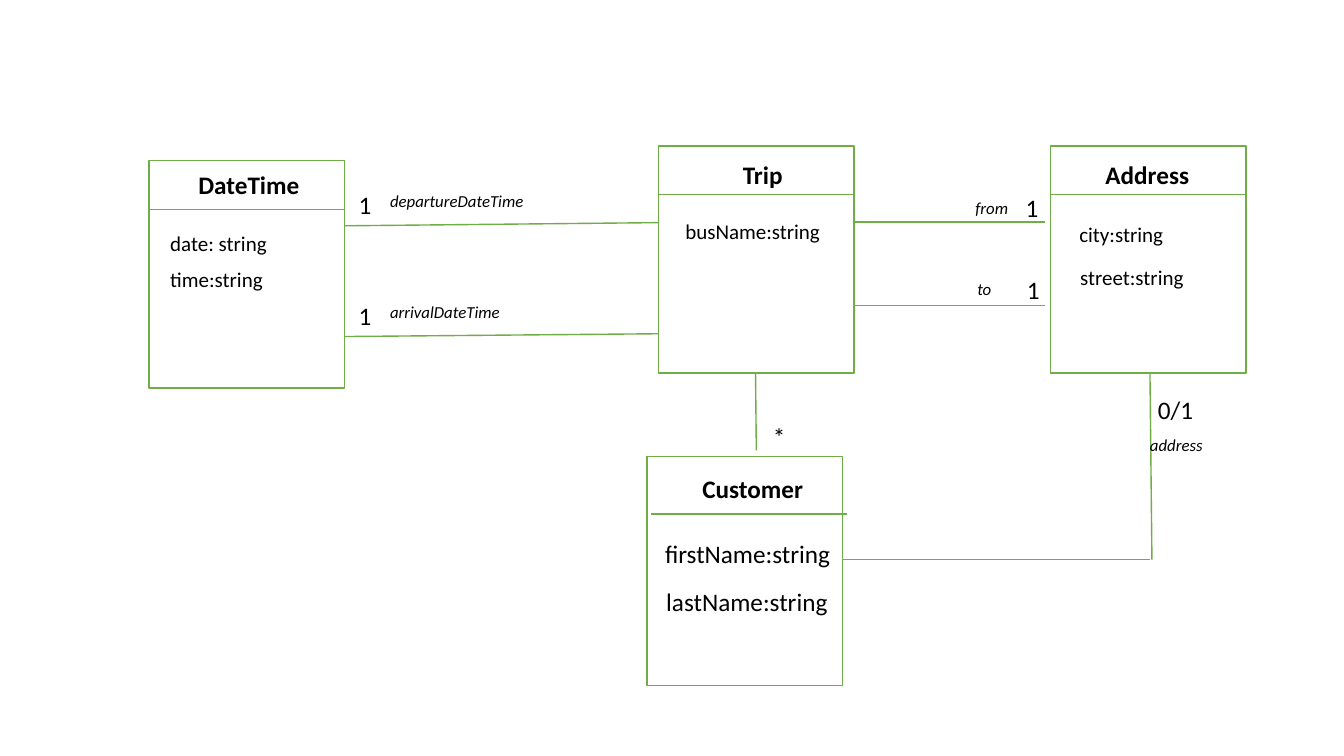
"""Build a class diagram slide of trips, customers, addresses and times."""
from dataclasses import dataclass

from lxml import etree
from pptx import Presentation, util as u
from pptx.dml.color import RGBColor
from pptx.enum import shapes, text
from pptx.oxml import ns

COLOURS = {"line": "70AD47", "fill": "FFFFFF", "text": "000000"}
FONT = "Calibri"
CLASS_WIDTH = 4.93


@dataclass
class Label:
    text: str
    x: float
    y: float
    width: float
    size: int = 18
    bold: bool = False
    italic: bool = False


@dataclass
class Link:
    x1: float
    y1: float
    x2: float
    y2: float


@dataclass
class ClassBox:
    x: float
    y: float
    height: float
    title: Label
    divider_y: float
    fields: list[Label]
    divider_shift: float = 0


CLASSES = [
    ClassBox(16.59, 3.68, 5.72, Label("Trip", 18.47, 3.89, 1.52, bold=True), 4.9,
             [Label("busName:string", 17.02, 5.38, 3.94, 15)]),
    ClassBox(16.31, 11.51, 5.77, Label("Customer", 17.45, 11.81, 3.07, bold=True), 12.95,
             [Label("firstName:string", 16.51, 13.44, 4.72),
              Label("lastName:string", 16.54, 14.66, 4.62)], 0.1),
    ClassBox(26.47, 3.68, 5.72, Label("Address", 27.61, 3.89, 2.64, bold=True), 4.9,
             [Label("city:string", 26.95, 5.46, 2.64, 15),
              Label("street:string", 26.97, 6.55, 3.15, 15)]),
    ClassBox(3.76, 4.04, 5.74, Label("DateTime", 4.75, 4.14, 3.07, bold=True), 5.28,
             [Label("date: string", 4.04, 5.69, 2.97, 15),
              Label("time:string", 4.04, 6.58, 2.87, 15)]),
]

LINKS = [
    Link(16.59, 5.61, 8.69, 5.69),
    Link(16.59, 8.41, 8.69, 8.48),
    Link(26.34, 5.59, 21.52, 5.59),
    Link(26.34, 7.7, 21.52, 7.7),
    Link(19.06, 11.35, 19.04, 9.4),
    Link(28.98, 14.1, 21.24, 14.1),
    Link(29.03, 14.1, 28.98, 9.4),
]

ROLES = [
    Label("departureDateTime", 9.58, 4.67, 3.91, 12, italic=True),
    Label("arrivalDateTime", 9.58, 7.47, 3.3, 12, italic=True),
    Label("from", 24.33, 4.85, 1.35, 12, italic=True),
    Label("to", 24.38, 6.91, 0.86, 12, italic=True),
    Label("address", 28.73, 10.82, 1.85, 12, italic=True),
]

MULTIPLICITIES = [
    Label("1", 8.79, 4.65, 0.84),
    Label("1", 8.79, 7.44, 0.84),
    Label("1", 25.6, 4.72, 0.84),
    Label("1", 25.63, 6.78, 0.84),
    Label("*", 19.23, 10.49, 0.84),
    Label("0/1", 28.93, 9.8, 1.42),
]


def rgb(name: str) -> RGBColor:
    """Return a named colour."""
    return RGBColor.from_string(COLOURS[name])


def write(tf, content: str, *, size: int, bold: bool, italic: bool) -> None:
    """Put formatted text in a text frame."""
    r = tf.paragraphs[0].add_run()
    r.text = content
    r.font.name = FONT
    r.font.size = u.Pt(size)
    r.font.bold = bold
    r.font.italic = italic
    r.font.color.rgb = rgb("text")


def draw_label(s, label: Label) -> None:
    """Draw one line of text."""
    height = u.Pt(1.22 * label.size) + u.Cm(0.25)
    sp = s.shapes.add_textbox(u.Cm(label.x), u.Cm(label.y), u.Cm(label.width), height)
    tf = sp.text_frame
    tf.word_wrap = False
    tf.auto_size = text.MSO_AUTO_SIZE.SHAPE_TO_FIT_TEXT
    write(tf, label.text, size=label.size, bold=label.bold, italic=label.italic)


def set_line(sp) -> None:
    """Give a shape or connector the diagram line."""
    sp.line.color.rgb = rgb("line")
    sp.line.width = u.Pt(1)


def draw_link(s, link: Link) -> None:
    """Draw a straight line without shadow."""
    ends = (u.Cm(v) for v in (link.x1, link.y1, link.x2, link.y2))
    sp = s.shapes.add_connector(shapes.MSO_CONNECTOR.STRAIGHT, *ends)
    set_line(sp)
    etree.SubElement(sp._element.spPr, ns.qn("a:effectLst"))


def draw_class(s, box: ClassBox) -> None:
    """Draw a class with its title, divider and fields."""
    sp = s.shapes.add_shape(shapes.MSO_SHAPE.RECTANGLE, u.Cm(box.x), u.Cm(box.y),
                            u.Cm(CLASS_WIDTH), u.Cm(box.height))
    sp.shadow.inherit = False
    sp.fill.solid()
    sp.fill.fore_color.rgb = rgb("fill")
    set_line(sp)
    left = box.x + box.divider_shift
    draw_link(s, Link(left + CLASS_WIDTH, box.divider_y, left, box.divider_y))
    for label in [box.title, *box.fields]:
        draw_label(s, label)


def main() -> None:
    """Build and save the slide."""
    prs = Presentation()
    prs.slide_width, prs.slide_height = u.Cm(33.87), u.Cm(19.05)
    s = prs.slides.add_slide(prs.slide_layouts[6])
    for box in CLASSES:
        draw_class(s, box)
    for link in LINKS:
        draw_link(s, link)
    for label in ROLES + MULTIPLICITIES:
        draw_label(s, label)
    prs.save("out.pptx")


main()
